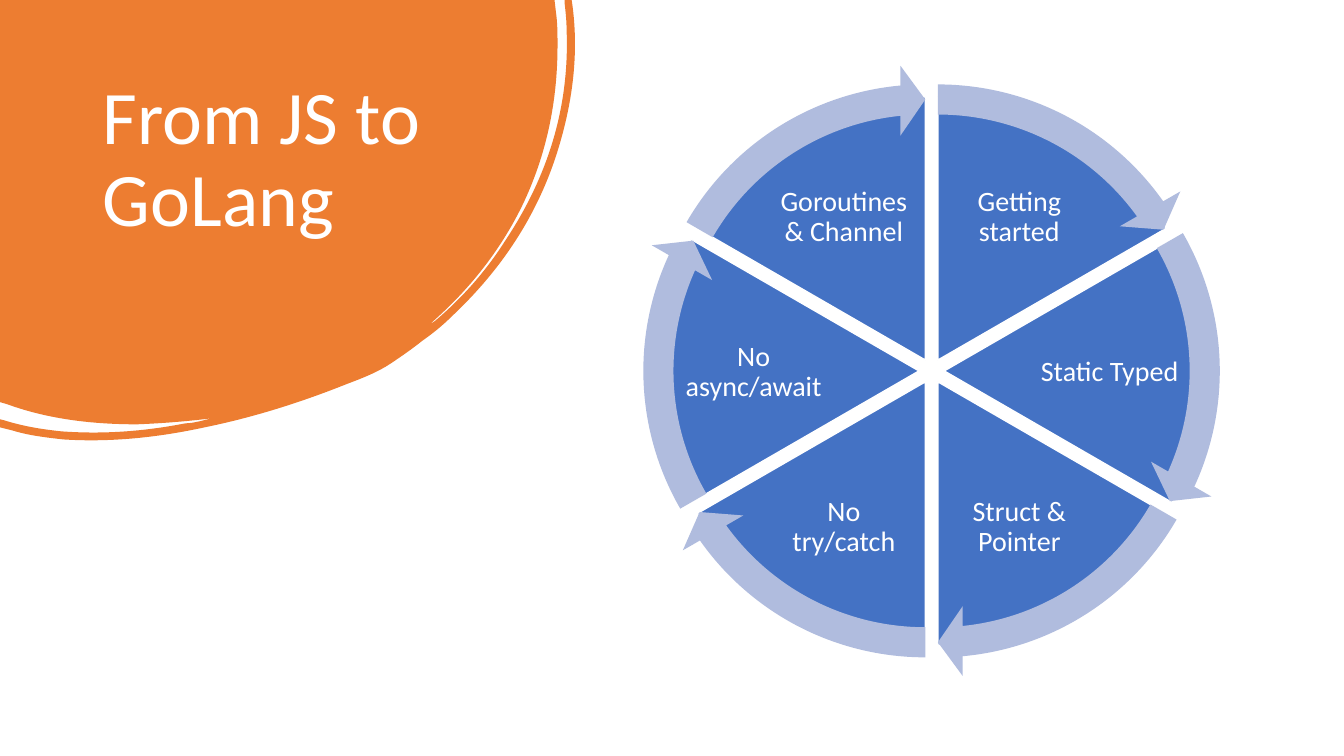
import math

import lxml.etree
import pptx
import pptx.dml.color
import pptx.enum.shapes
import pptx.enum.text
import pptx.oxml.ns
import pptx.util

PX = 9144
FONT = "Calibri"
COLORS = {"orange": "ED7D31", "blue": "4472C4", "pale": "B0BCDE", "white": "FFFFFF"}
SLIDE_SIZE = (1333, 750)
TITLE = "From JS to GoLang"
TITLE_BOX = (92, 74, 352, 222)
TOPICS = [
    "Getting started",
    "Static Typed",
    "Struct & Pointer",
    "No try/catch",
    "No async/await",
    "Goroutines & Channel",
]
HUB, GAP = (924, 368), 12.5
LABEL_HUB = (924, 369.5)
SLANTED_LABEL = {"offset": (87, 153.5), "size": (137, 106)}
SIDE_LABEL = {"offset": (176.5, 0), "size": (144, 102)}
PIE_SIZE, ARROW_SIZE = 522, 586
FULL_TURN, FIRST_ANGLE = 216, 162
ARROW_WIDTH, ARROW_HEAD, ARROW_REACH = 0.051, 3.275, 0.059

BLOB_SIZE = (571, 437)
BLOB = [
    (0, 0), (550, 0), (552, 17),
    (553, 26, 553, 36, 553, 45), (553, 101, 542, 154, 518, 204),
    (496, 249, 465, 288, 427, 321), (429, 321, 430, 319, 432, 318),
    (459, 295, 482, 269, 501, 239), (543, 176, 565, 107, 562, 30),
    (562, 21, 561, 12, 560, 3), (560, 0), (567, 0), (568, 7),
    (574, 54, 568, 102, 553, 150), (533, 214, 497, 268, 448, 314),
    (439, 323, 429, 331, 419, 338), (409, 346, 399, 353, 387, 361),
    (375, 369, 360, 375, 344, 381), (299, 399, 252, 414, 203, 424),
    (157, 434, 110, 439, 63, 436), (45, 434, 28, 432, 12, 427),
    (0, 424), (0, 416), (4, 417),
    (23, 423, 42, 426, 61, 428), (103, 431, 143, 428, 184, 420),
    (189, 420, 193, 419, 198, 418), (202, 417, 206, 416, 210, 415),
    (186, 418, 161, 420, 136, 421), (92, 421, 48, 416, 7, 401), (0, 399),
]


def emu(*lengths):
    return [round(length * PX) for length in lengths]


def rgb(name):
    return pptx.dml.color.RGBColor.from_string(COLORS[name])


def centred(x, y, width, height):
    return emu(x - width / 2, y - height / 2, width, height)


def paint(shape, fill, line=None):
    shape.shadow.inherit = False
    shape.fill.solid()
    shape.fill.fore_color.rgb = rgb(fill)
    if line:
        shape.line.color.rgb = rgb(line)
        shape.line.width = pptx.util.Pt(1)
    else:
        shape.line.fill.background()


def write(box, text, size, align, anchor, inset_x, inset_y):
    frame = box.text_frame
    frame.word_wrap = True
    frame.auto_size = pptx.enum.text.MSO_AUTO_SIZE.NONE
    frame.vertical_anchor = anchor
    frame.margin_left = frame.margin_right = inset_x * PX
    frame.margin_top = frame.margin_bottom = inset_y * PX
    para = frame.paragraphs[0]
    para.alignment = align
    para.line_spacing = 0.9
    span = para.add_run()
    span.text = text
    span.font.name = FONT
    span.font.size = pptx.util.Pt(size)
    span.font.color.rgb = rgb("white")


def add_ring_part(page, kind, size, centre, adjustments, **colours):
    shape = page.shapes.add_shape(kind, *centred(*centre, size, size))
    for index, value in enumerate(adjustments):
        shape.adjustments[index] = value
    paint(shape, **colours)


def add_blob(page):
    qn = pptx.oxml.ns.qn
    start, *segments = BLOB
    builder = page.shapes.build_freeform(*emu(*start), scale=1.0)
    builder.add_line_segments([emu(*segment[-2:]) for segment in segments], close=True)
    blob = builder.convert_to_shape()
    blob.width, blob.height = emu(*BLOB_SIZE)
    outline = next(blob.element.iter(qn("a:path")))
    outline.set("w", str(blob.width))
    outline.set("h", str(blob.height))
    for line, segment in zip(outline.findall(qn("a:lnTo")), segments):
        if len(segment) == 2:
            continue
        curve = lxml.etree.Element(qn("a:cubicBezTo"))
        for x, y in zip(emu(*segment[::2]), emu(*segment[1::2])):
            lxml.etree.SubElement(curve, qn("a:pt"), x=str(x), y=str(y))
        outline.replace(line, curve)
    paint(blob, "orange")


def add_title(page):
    title = page.shapes.title
    title.left, title.top, title.width, title.height = emu(*TITLE_BOX)
    write(title, TITLE, size=54, align=pptx.enum.text.PP_ALIGN.LEFT,
          anchor=pptx.enum.text.MSO_ANCHOR.TOP, inset_x=10, inset_y=5)
    tree = title.element.getparent()
    tree.remove(title.element)
    tree.append(title.element)


def add_label(page, topic, across, down):
    label = SIDE_LABEL if abs(down) < 0.1 else SLANTED_LABEL
    x = LABEL_HUB[0] + math.copysign(label["offset"][0], across)
    y = LABEL_HUB[1] + math.copysign(label["offset"][1], down)
    box = page.shapes.add_textbox(*centred(x, y, *label["size"]))
    write(box, topic, size=20, align=pptx.enum.text.PP_ALIGN.CENTER,
          anchor=pptx.enum.text.MSO_ANCHOR.MIDDLE, inset_x=3, inset_y=3)


def add_cycle(page):
    shapes = pptx.enum.shapes.MSO_SHAPE
    step = FULL_TURN / len(TOPICS)
    arrows = []
    for index, topic in enumerate(TOPICS):
        start = (FIRST_ANGLE + index * step) % FULL_TURN
        end = (start + step) % FULL_TURN
        middle = math.radians((start + step / 2) * 360 / FULL_TURN)
        across, down = math.cos(middle), math.sin(middle)
        centre = HUB[0] + GAP * across, HUB[1] + GAP * down
        add_ring_part(page, shapes.PIE, PIE_SIZE, centre, (start, end),
                      fill="blue", line="white")
        add_label(page, topic, across, down)
        tip = (start + step - ARROW_HEAD) % FULL_TURN
        arrows.append((centre, (ARROW_WIDTH, ARROW_HEAD, tip, start, ARROW_REACH)))
    for centre, adjustments in arrows:
        add_ring_part(page, shapes.CIRCULAR_ARROW, ARROW_SIZE, centre, adjustments, fill="pale")


def main():
    deck = pptx.Presentation()
    deck.slide_width, deck.slide_height = emu(*SLIDE_SIZE)
    page = deck.slides.add_slide(deck.slide_layouts[5])
    add_blob(page)
    add_title(page)
    add_cycle(page)
    deck.save("out.pptx")


if __name__ == "__main__":
    main()
